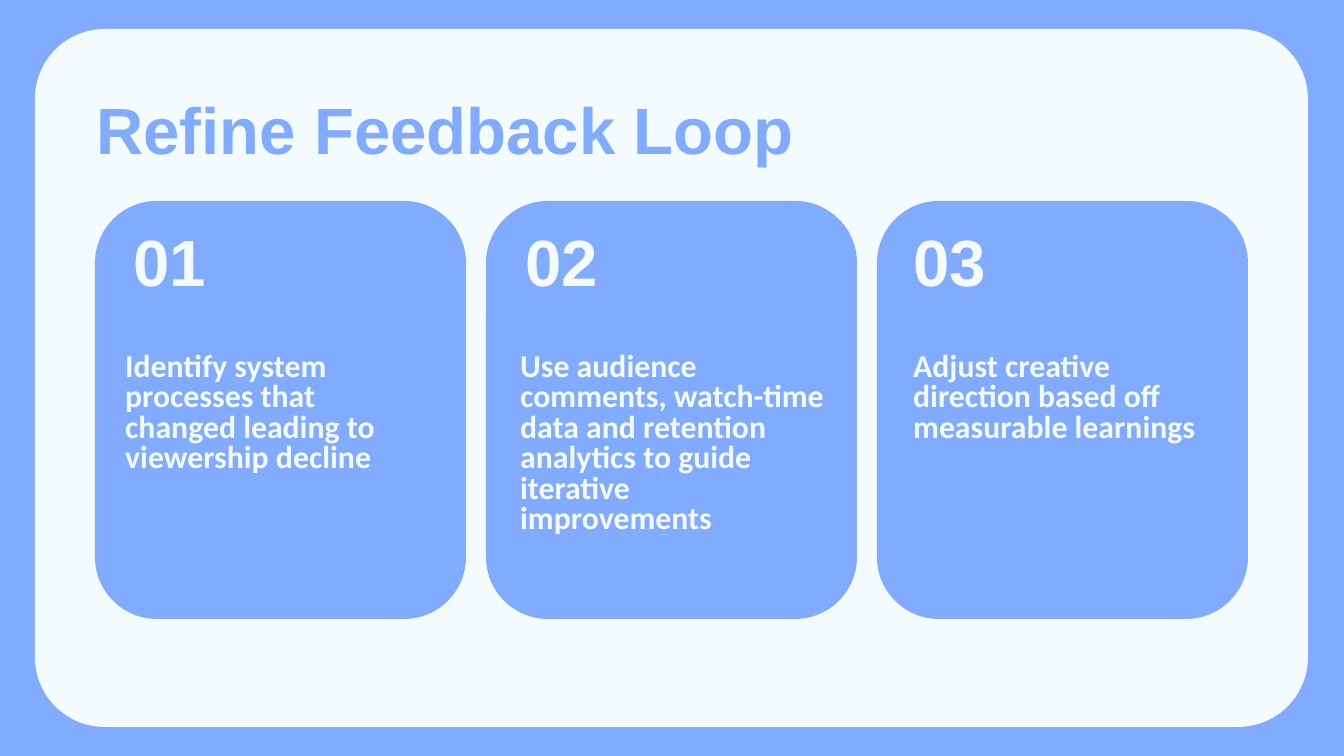
from pptx import Presentation
from pptx.dml.color import RGBColor
from pptx.enum.shapes import MSO_SHAPE
from pptx.enum.text import MSO_ANCHOR, MSO_AUTO_SIZE, PP_ALIGN
from pptx.util import Pt

PX = 914400 / 134.4
HUES = {"blue": "81ABFF", "pale": "F3FBFF"}


def px(*nums):
    return [round(n * PX) for n in nums]


def write(shape, text, size=35, font="Arial", hue="pale", pad=7, line=None):
    """Put bold, left-aligned text in a shape that grows to fit it."""
    frame = shape.text_frame
    frame.word_wrap = True
    frame.auto_size = MSO_AUTO_SIZE.SHAPE_TO_FIT_TEXT
    frame.vertical_anchor = MSO_ANCHOR.TOP
    frame.margin_top, frame.margin_bottom = px(pad, pad)
    para = frame.paragraphs[0]
    para.alignment = PP_ALIGN.LEFT
    para.line_spacing = line
    run = para.add_run()
    run.text = text
    run.font.name = font
    run.font.size = Pt(size)
    run.font.bold = True
    run.font.color.rgb = RGBColor.from_string(HUES[hue])


prs = Presentation()
prs.slide_width, prs.slide_height = px(1344, 756)
slide = prs.slides.add_slide(prs.slide_layouts[5])
shapes = slide.shapes
back = slide.background.fill
back.solid()
back.fore_color.rgb = RGBColor.from_string(HUES["blue"])

title = shapes.title
title.left, title.top, title.width, title.height = px(83, 82, 950, 93)
write(title, "Refine Feedback Loop", hue="blue")

# Panel and cards: box, corner, hue
boxes = [((35, 29, 1273, 698), 0.1, "pale")]
boxes += [((95 + 391 * i, 201, 371, 418), 0.167, "blue") for i in range(3)]
for box, bend, hue in boxes:
    card = shapes.add_shape(MSO_SHAPE.ROUNDED_RECTANGLE, *px(*box))
    card.adjustments[0] = bend
    card.shadow.inherit = False
    card.fill.solid()
    card.fill.fore_color.rgb = RGBColor.from_string(HUES[hue])
    card.line.fill.background()
    if hue == "pale":
        title.element.addprevious(card.element)  # the panel lies behind the title

# Number left, text left, text height, text
steps = [
    (120, 112, 151, "Identify system processes that changed leading to viewership decline"),
    (512, 507, 212, "Use audience comments, watch-time data and retention analytics "
                    "to guide iterative improvements"),
    (900, 900, 120, "Adjust creative direction based off measurable learnings"),
]
for i, (num_x, text_x, high, text) in enumerate(steps, 1):
    write(shapes.add_textbox(*px(num_x, 214, 306, 93)), f"{i:02}")
    write(shapes.add_textbox(*px(text_x, 340, 332, high)), text,
          size=17, font="Calibri", pad=13, line=0.8)

prs.save("out.pptx")
